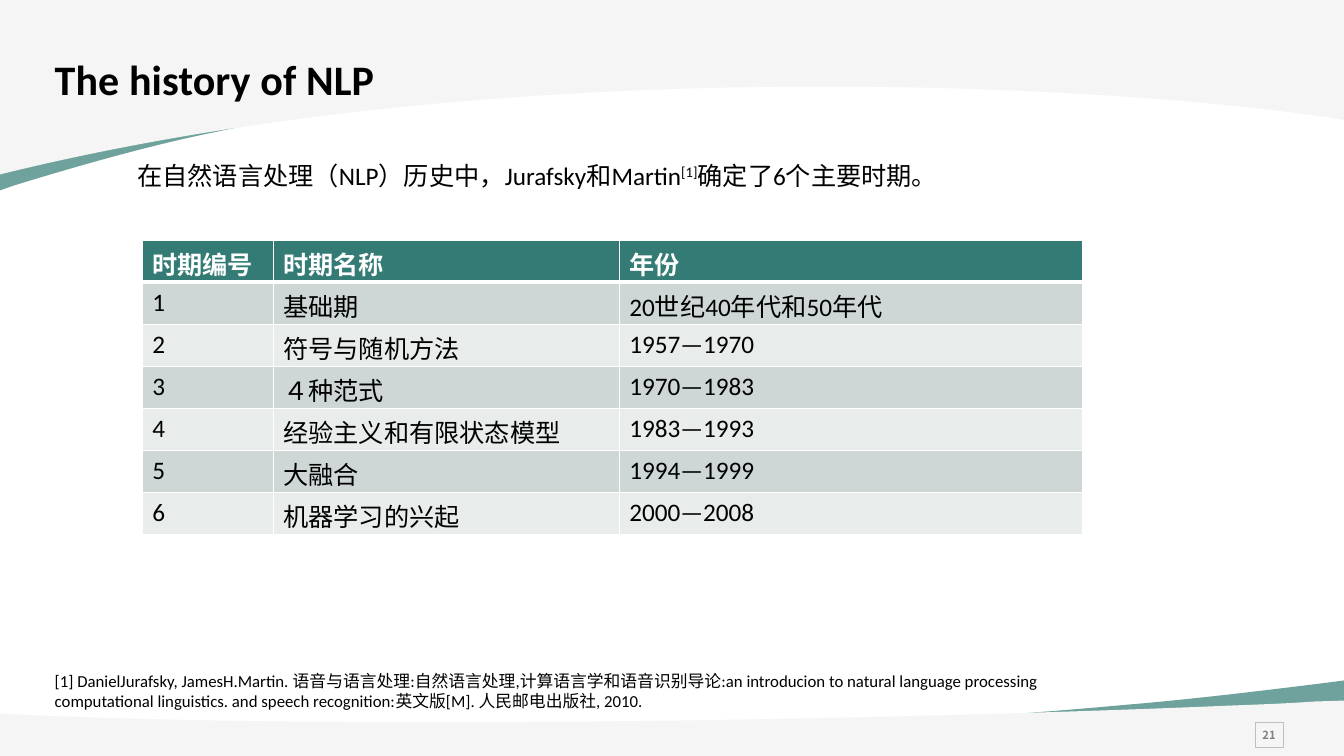
import pptx
import pptx.util
import pptx.dml.color
import pptx.enum.shapes
import pptx.enum.text
import pptx.oxml
import pptx.oxml.ns
from dataclasses import dataclass
from lxml import etree

Pt = pptx.util.Pt
qn = pptx.oxml.ns.qn


@dataclass(frozen=True)
class Theme:
    teal: str = "337B74"
    pale: str = "F5F5F5"
    odd: str = "CED7D6"
    even: str = "E8ECEB"
    white: str = "FFFFFF"
    black: str = "000000"
    gray: str = "808080"
    edge: str = "BFBFBF"
    font: str = "Calibri"
    asian: str = "Noto Sans CJK SC"
    title: float = 30
    body: float = 18
    note: float = 12
    page: float = 8


THEME = Theme()

# Outlines: each step ends at its last pair; three pairs make a curve
WAVES = [
    (THEME.teal, 70, [[(0, 136)], [(0, 16)], [(960.3, 16)], [(960.3, 65.5)],
                      [(959.8, 65.5)],
                      [(743, 4.3), (370, 48.2), (154, 94.3)],
                      [(110.9, 103), (61.9, 116.6), (10, 132.5)]]),
    (THEME.pale, 100, [[(0, 0)], [(960, 0)], [(960, 85.7)],
                       [(820.8, 62.6), (372.2, 32.4), (0, 124.6)]]),
    (THEME.teal, 70, [[(960.3, 486)], [(960.3, 535.7)], [(0, 535.7)],
                      [(0, 514.8)], [(0.7, 515.5)],
                      [(216.7, 540), (590.4, 523), (805.7, 503.3)],
                      [(848.9, 499.7), (897.8, 493.9), (949.7, 487.4)]]),
    (THEME.pale, 100, [[(960.3, 500.4)], [(960.3, 540)], [(0, 540)],
                       [(0, 509.8)], [(31.7, 511.2)],
                       [(282.2, 521.3), (655.2, 513.4), (878.4, 504)],
                       [(897, 503.3), (918, 502.6), (938.9, 501.1)]]),
]

ROWS = [
    ("时期编号", "时期名称", "年份"),
    ("1", "基础期", "20世纪40年代和50年代"),
    ("2", "符号与随机方法", "1957—1970"),
    ("3", "４种范式", "1970—1983"),
    ("4", "经验主义和有限状态模型", "1983—1993"),
    ("5", "大融合", "1994—1999"),
    ("6", "机器学习的兴起", "2000—2008"),
]
WIDTHS = (93.6, 247.2, 331.2)
HEIGHT = 30.04
UNIT = 127  # a hundredth of a point


def color(code):
    return pptx.dml.color.RGBColor.from_string(code)


def paint(fill, code):
    fill.solid()
    fill.fore_color.rgb = color(code)


def add_run(para, text, size, code=THEME.black, bold=False,
            font=THEME.font, **attrs):
    run = para.add_run()
    run.text = text
    run.font.size = Pt(size)
    run.font.bold = bold
    run.font.color.rgb = color(code)
    run.font.name = font
    props = run.font._element
    etree.SubElement(props, qn("a:ea")).set("typeface", THEME.asian)
    for name, value in attrs.items():
        props.set(name, str(value))


def add_text(slide, left, top, width, height):
    box = slide.shapes.add_textbox(Pt(left), Pt(top), Pt(width), Pt(height))
    box.text_frame.word_wrap = True
    return box.text_frame.paragraphs[0]


def bend(wave, line, curve):
    """Turn one straight step of the outline into a curve."""
    line.tag = qn("a:cubicBezTo")
    for spot, (x, y) in enumerate(curve[:-1]):
        point = etree.Element(qn("a:pt"))
        point.set("x", str(round((Pt(x) - wave.left) / UNIT)))
        point.set("y", str(round((Pt(y) - wave.top) / UNIT)))
        line.insert(spot, point)


def add_wave(slide, code, alpha, steps):
    ends = [(Pt(x) / UNIT, Pt(y) / UNIT) for *_, (x, y) in steps]
    form = slide.shapes.build_freeform(*ends[0], scale=UNIT)
    form.add_line_segments(ends[1:], close=True)
    wave = form.convert_to_shape()
    lines = list(wave._element.iter(qn("a:lnTo")))
    for line, step in zip(lines, steps[1:]):
        if len(step) == 3:
            bend(wave, line, step)
    wave.shadow.inherit = False
    wave.line.fill.background()
    paint(wave.fill, code)
    if alpha < 100:
        tint = wave._element.spPr.find(".//" + qn("a:srgbClr"))
        etree.SubElement(tint, qn("a:alpha")).set("val", str(alpha * 1000))


def add_edge(cell, side, width):
    line = etree.SubElement(cell._tc.get_or_add_tcPr(), qn("a:ln" + side))
    line.set("w", str(Pt(width)))
    fill = etree.SubElement(line, qn("a:solidFill"))
    etree.SubElement(fill, qn("a:srgbClr")).set("val", THEME.white)


def add_grid(slide, left, top):
    frame = slide.shapes.add_table(
        len(ROWS), len(WIDTHS), Pt(left), Pt(top),
        Pt(sum(WIDTHS)), Pt(HEIGHT * len(ROWS)))
    grid = frame.table
    for col, width in zip(grid.columns, WIDTHS):
        col.width = Pt(width)
    for r, texts in enumerate(ROWS):
        grid.rows[r].height = Pt(HEIGHT)
        head = r == 0
        back = THEME.teal if head else (THEME.odd if r % 2 else THEME.even)
        for c, text in enumerate(texts):
            cell = grid.cell(r, c)
            add_edge(cell, "L", 1)
            add_edge(cell, "R", 1)
            add_edge(cell, "T", 3 if r == 1 else 1)
            add_edge(cell, "B", 3 if head else 1)
            paint(cell.fill, back)
            add_run(cell.text_frame.paragraphs[0], text, THEME.body,
                    THEME.white if head else THEME.black, head)


def add_page(slide, text):
    box = slide.shapes.add_shape(
        pptx.enum.shapes.MSO_SHAPE.RECTANGLE,
        Pt(896.5), Pt(516), Pt(20), Pt(18))
    box.shadow.inherit = False
    box.fill.background()
    box.line.color.rgb = color(THEME.edge)
    box.line.width = Pt(0.75)
    frame = box.text_frame
    frame.word_wrap = False
    frame.vertical_anchor = pptx.enum.text.MSO_ANCHOR.MIDDLE
    frame.margin_left = frame.margin_right = Pt(6)
    frame.margin_top = frame.margin_bottom = Pt(6)
    para = frame.paragraphs[0]
    para.alignment = pptx.enum.text.PP_ALIGN.CENTER
    add_run(para, text, THEME.page, THEME.gray, True, THEME.asian)


def main():
    deck = pptx.Presentation()
    deck.slide_width, deck.slide_height = Pt(960), Pt(540)
    slide = deck.slides.add_slide(deck.slide_layouts[6])

    # Backdrop and page number
    for wave in WAVES:
        add_wave(slide, *wave)
    add_page(slide, "21")

    # Title
    title = add_text(slide, 32, 34.6, 526, 43.2)
    add_run(title, "The history of NLP", THEME.title, bold=True, spc=10)

    # Periods
    add_grid(slide, 101.6, 171.5)

    # Opening line
    intro = add_text(slide, 91, 110.6, 769, 51)
    add_run(intro, "在自然语言处理（NLP）历史中，Jurafsky和Martin", THEME.body)
    add_run(intro, "[1]", THEME.body, baseline=30000)
    add_run(intro, "确定了6个主要时期。", THEME.body)

    # Reference
    note = add_text(slide, 32, 475.3, 718, 36)
    add_run(note, "[1] DanielJurafsky, JamesH.Martin. 语音与语言处理:自然语言处理,"
            "计算语言学和语音识别导论:an introducion to natural language "
            "processing computational linguistics. and speech recognition:"
            "英文版[M]. 人民邮电出版社, 2010.", THEME.note)

    deck.save("out.pptx")


if __name__ == "__main__":
    main()
